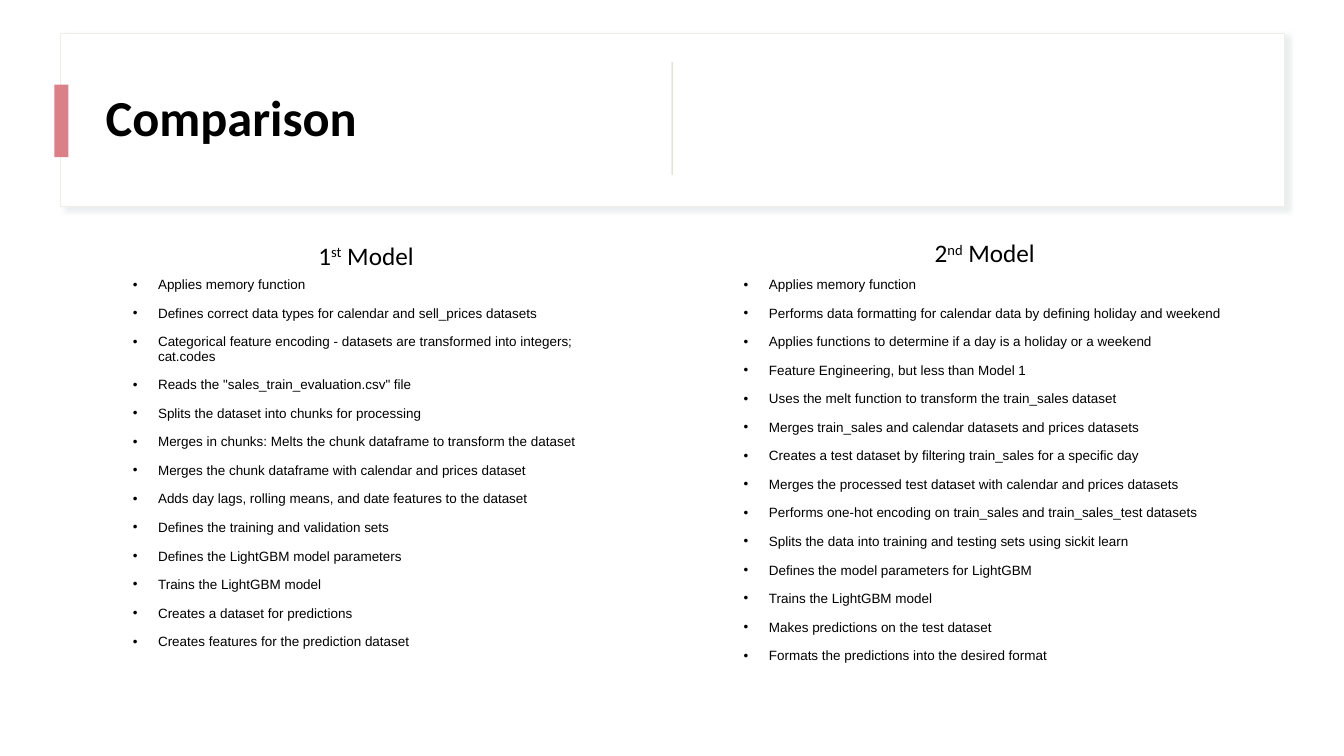
from lxml.etree import SubElement
from pptx import Presentation
from pptx.dml.color import RGBColor
from pptx.enum.shapes import MSO_SHAPE
from pptx.enum.text import MSO_ANCHOR, MSO_AUTO_SIZE
from pptx.oxml.ns import qn
from pptx.util import Inches, Pt

WIDTH, HEIGHT = Inches(13.33), Inches(7.5)


def rgb(hex_value):
    return RGBColor.from_string(hex_value)


class Sheet:
    """Style and current slide; boxes are (left, top, width, height) in percent of the slide."""
    ink, heading_font, list_font = "000000", "Calibri", "Arial"

    def __init__(self, slide):
        self.slide = slide

    def place(self, box):
        return [int(share * side / 100) for share, side in zip(box, (WIDTH, HEIGHT) * 2)]

    def block(self, box, fill, line=None):
        shape = self.slide.shapes.add_shape(MSO_SHAPE.RECTANGLE, *self.place(box))
        shape.shadow.inherit = False
        shape.fill.solid()
        shape.fill.fore_color.rgb = rgb(fill)
        if line:
            shape.line.color.rgb = rgb(line)
            shape.line.width = Pt(1)
        else:
            shape.line.fill.background()
        return shape

    def cast_shadow(self, shape, colour, opacity):
        effects = shape._element.spPr.find(qn("a:effectLst"))
        shadow = SubElement(effects, qn("a:outerShdw"), blurRad=str(Pt(4)), dist=str(Pt(3)),
                            dir=str(45 * 60000), algn="tl", rotWithShape="0")
        tint = SubElement(shadow, qn("a:srgbClr"), val=colour)
        SubElement(tint, qn("a:alpha"), val=str(opacity * 1000))

    def style(self, run, size, font, bold=False):
        run.font.size, run.font.name, run.font.bold = Pt(size), font, bold
        run.font.color.rgb = rgb(self.ink)

    def frame(self, box, wrap=True):
        frame = self.slide.shapes.add_textbox(*self.place(box)).text_frame
        frame.word_wrap = wrap
        return frame

    def title(self, box, text):
        frame = self.frame(box)
        frame.text = text
        frame.vertical_anchor = MSO_ANCHOR.MIDDLE
        frame.paragraphs[0].line_spacing = 0.9
        self.style(frame.paragraphs[0].runs[0], 36, self.heading_font, bold=True)

    def model_heading(self, box, number, ordinal):
        frame = self.frame(box, wrap=False)
        frame.auto_size = MSO_AUTO_SIZE.SHAPE_TO_FIT_TEXT
        for part in (number, ordinal, " Model"):
            run = frame.paragraphs[0].add_run()
            run.text = part
            self.style(run, 18, self.heading_font)
            if part == ordinal:
                run.font._element.set("baseline", "30000")

    def bullets(self, box, steps):
        frame = self.frame(box)
        frame.text = "\n".join(steps)
        for paragraph in frame.paragraphs:
            paragraph.line_spacing, paragraph.space_before = 0.9, Pt(10)
            self.style(paragraph.runs[0], 9.6, self.list_font)
            props = paragraph._p.get_or_add_pPr()
            props.set("marL", str(Inches(0.25)))
            props.set("indent", str(-Inches(0.25)))
            SubElement(props, qn("a:buFont"), typeface=self.list_font)
            SubElement(props, qn("a:buChar"), char="•")


FIRST_STEPS = [
    "Applies memory function",
    "Defines correct data types for calendar and sell_prices datasets",
    "Categorical feature encoding - datasets are transformed into integers; cat.codes",
    'Reads the "sales_train_evaluation.csv" file',
    "Splits the dataset into chunks for processing",
    "Merges in chunks: Melts the chunk dataframe to transform the dataset",
    "Merges the chunk dataframe with calendar and prices dataset",
    "Adds day lags, rolling means, and date features to the dataset",
    "Defines the training and validation sets",
    "Defines the LightGBM model parameters",
    "Trains the LightGBM model",
    "Creates a dataset for predictions",
    "Creates features for the prediction dataset",
]
SECOND_STEPS = [
    "Applies memory function",
    "Performs data formatting for calendar data by defining holiday and weekend",
    "Applies functions to determine if a day is a holiday or a weekend",
    "Feature Engineering, but less than Model 1",
    "Uses the melt function to transform the train_sales dataset",
    "Merges train_sales and calendar datasets and prices datasets",
    "Creates a test dataset by filtering train_sales for a specific day",
    "Merges the processed test dataset with calendar and prices datasets",
    "Performs one-hot encoding on train_sales and train_sales_test datasets",
    "Splits the data into training and testing sets using sickit learn",
    "Defines the model parameters for LightGBM",
    "Trains the LightGBM model",
    "Makes predictions on the test dataset",
    "Formats the predictions into the desired format",
]
# number, ordinal, heading box, left edge of the list, steps
MODELS = [
    ("1", "st", (22.95, 31.07, 9.3, 5.33), 9.15, FIRST_STEPS),
    ("2", "nd", (68.8, 30.8, 10.05, 5.33), 54.6, SECOND_STEPS),
]


def main():
    deck = Presentation()
    deck.slide_width, deck.slide_height = WIDTH, HEIGHT
    sheet = Sheet(deck.slides.add_slide(deck.slide_layouts[6]))

    # Title card with accent bar and divider
    card = sheet.block((4.5, 4.4, 91.07, 22.93), "FFFFFF", line="F0EDE4")
    sheet.cast_shadow(card, "BCCACA", 30)
    sheet.title((7.13, 5.87, 41.04, 20), "Comparison")
    sheet.block((4.05, 11.2, 1.05, 9.6), "DC8087")
    sheet.block((49.97, 8.2, 0.08, 14.93), "DAD3BC")

    # One column per model
    for number, ordinal, heading_box, list_left, steps in MODELS:
        sheet.bullets((list_left, 36.13, 38.4, 53.87), steps)
        sheet.model_heading(heading_box, number, ordinal)

    deck.save("out.pptx")


if __name__ == "__main__":
    main()
